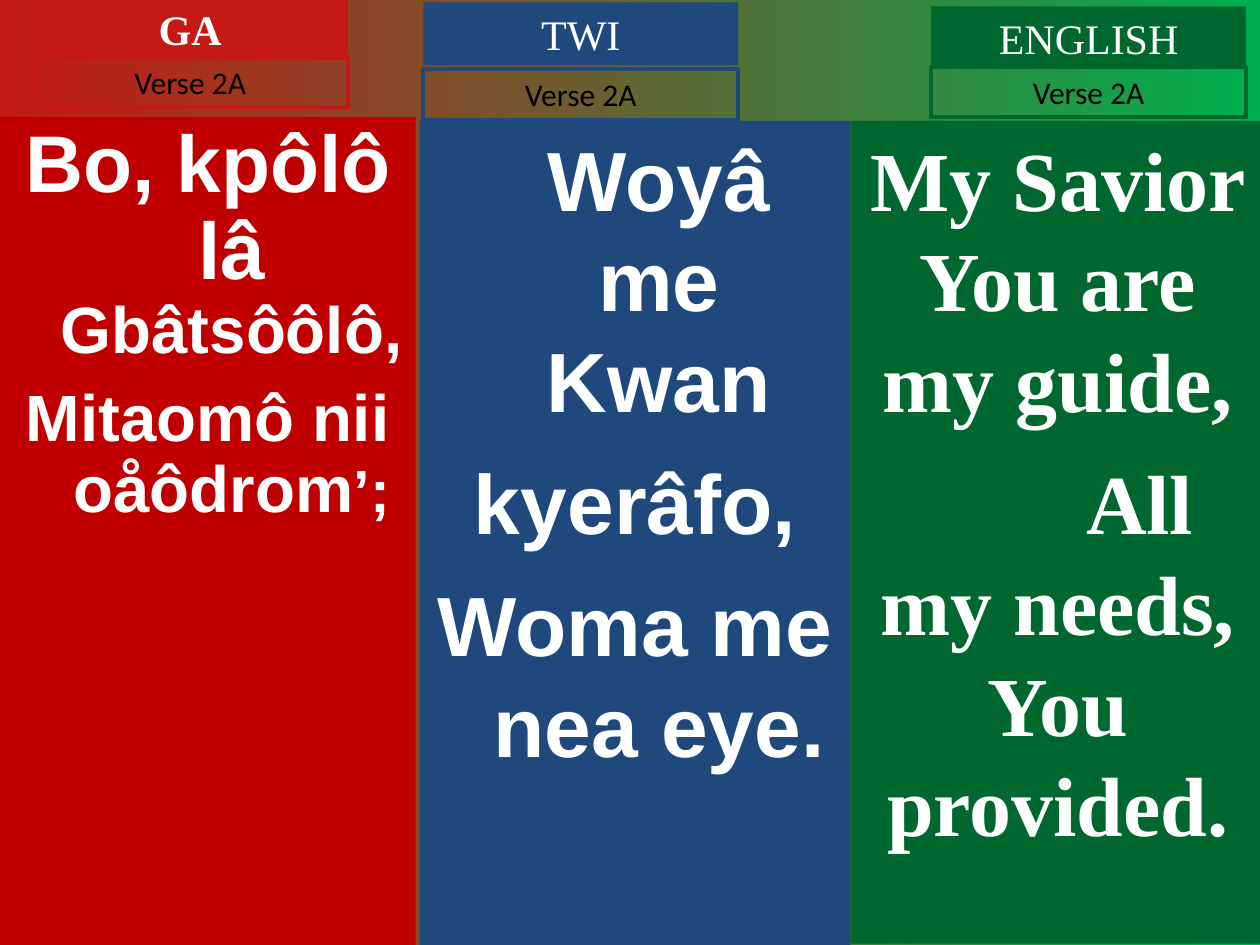
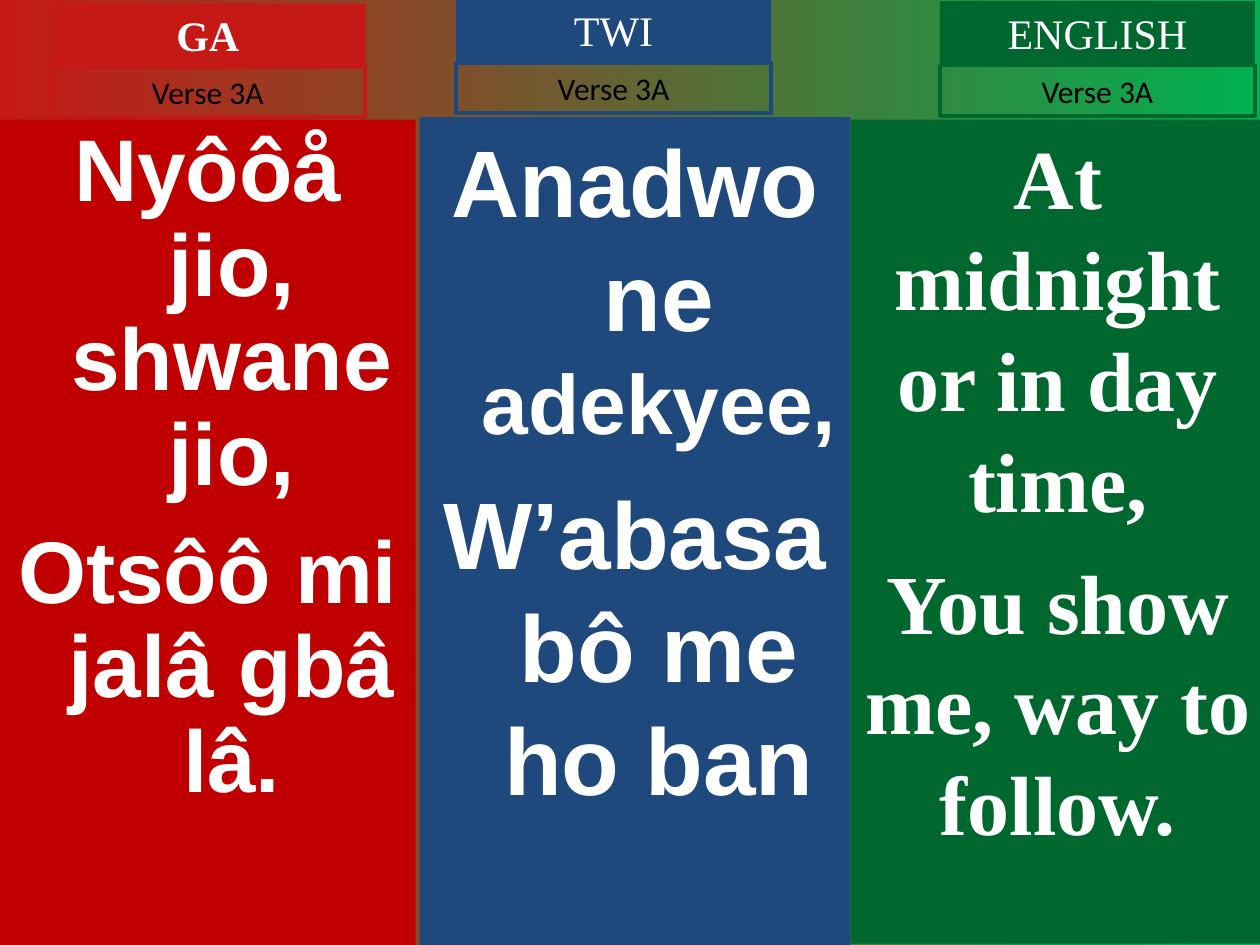
from pptx import Presentation
from pptx.dml.color import RGBColor as RGB
from pptx.enum.shapes import MSO_SHAPE as Shape
from pptx.enum.text import MSO_ANCHOR as Anchor, MSO_AUTO_SIZE as Fit, PP_ALIGN as Align
from pptx.util import Inches, Pt

# Content: each paragraph is (space before, first-line indent, runs of (text, size))
HANG = -0.38
SLIDES = [
    {"verse": "Verse 2A", "columns": {
        "GA": {"head": (0.26, -0.02), "tag": 0.45, "top": 0.93, "verses": [
            (0, HANG, [("Bo, kpôlô lâ ", 45.9), ("Gbâtsôôlô,", 37.4)]),
            (10, HANG, [("Mitaomô nii oåôdrom", 37.4), ("’;", 34)])]},
        "TWI": {"head": (3.36, 0.02), "tag": 0.55, "top": 0.96, "verses": [
            (0, 0, [("Woyâ me Kwan", 48)]),
            (12, HANG, [("kyerâfo,", 48)]),
            (12, HANG, [("Woma me nea eye.", 48)])]},
        "ENGLISH": {"head": (7.39, 0.05), "tag": 0.53, "top": 0.96, "verses": [
            (0, 0, [("My Savior You are my guide,", 48)]),
            (12, 1.3, [("All my needs, You provided.", 48)])]},
    }},
    {"verse": "Verse 3A", "columns": {
        "GA": {"head": (0.4, 0.03), "tag": 0.53, "top": 0.95, "verses": [
            (0, HANG, [("Nyôôå jio, shwane jio,", 50)]),
            (13.5, HANG, [("Otsôô mi jalâ gbâ lâ.", 50)])]},
        "TWI": {"head": (3.62, -0.01), "tag": 0.5, "top": 0.93, "verses": [
            (0, HANG, [("Anadwo ne ", 54), ("adekyee,", 48)]),
            (13.5, HANG, [("W’abasa bô me ho ban", 54)])]},
        "ENGLISH": {"head": (7.46, 0.01), "tag": 0.52, "top": 0.95, "verses": [
            (0, 0, [("At midnight or in day time,", 48)]),
            (12, 0, [("You show me, way to follow.", 48)])]},
    }},
]

# Shared look
COLORS = {"red": "C51915", "deep": "C00000", "blue": "1F497D", "green": "00682F",
          "lime": "00B050", "white": "FFFFFF", "black": "000000"}
SERIF = "Times New Roman"
STYLES = {
    "GA": {"head": "red", "body": "deep", "left": 0, "width": 3.3, "end": 7.5,
           "font": "Arial", "bold": True, "margin": 0.38, "lines": 0.9},
    "TWI": {"head": "blue", "body": "blue", "left": 3.33, "width": 3.42, "end": 7.5,
            "font": "Arial", "bold": False, "margin": 0.38, "lines": None},
    "ENGLISH": {"head": "green", "body": "green", "left": 6.75, "width": 3.29, "end": 7.49,
                "font": SERIF, "bold": False, "margin": 0, "lines": None},
}
HEAD_W, HEAD_H, TAG_H = 2.5, 0.5, 0.4


def color(name):
    return RGB.from_string(COLORS[name])


def add_box(slide, left, top, width, height, fill=None, line=None):
    box = slide.shapes.add_shape(
        Shape.RECTANGLE, *(Inches(n) for n in (left, top, width, height)))
    box.shadow.inherit = False
    if fill:
        box.fill.solid()
        box.fill.fore_color.rgb = color(fill)
    else:
        box.fill.background()
    if line:
        box.line.color.rgb = color(line)
        box.line.width = Pt(2.25)
    else:
        box.line.fill.background()
    frame = box.text_frame
    frame.word_wrap = True
    frame.vertical_anchor = Anchor.TOP
    return frame


def add_run(para, text, size, font, ink, bold):
    run = para.add_run()
    run.text = text
    run.font.size, run.font.name, run.font.bold = Pt(size), font, bold
    run.font.color.rgb = color(ink)


def add_label(frame, text, size, font, ink, bold=False):
    frame.auto_size = Fit.SHAPE_TO_FIT_TEXT
    para = frame.paragraphs[0]
    para.alignment = Align.CENTER
    add_run(para, text, size, font, ink, bold)


def add_body(slide, style, part):
    top = part["top"]
    frame = add_box(slide, style["left"], top, style["width"], style["end"] - top, style["body"])
    for i, (gap, indent, runs) in enumerate(part["verses"]):
        para = frame.add_paragraph() if i else frame.paragraphs[0]
        para.alignment = Align.CENTER
        para.space_before = Pt(gap)
        para.line_spacing = style["lines"]
        props = para._p.get_or_add_pPr()
        props.set("marL", str(Inches(style["margin"])))
        props.set("indent", str(Inches(indent)))
        for text, size in runs:
            add_run(para, text, size, style["font"], "white", True)


def add_head(slide, name, style, part, verse):
    left, top = part["head"]
    head = add_box(slide, left, top, HEAD_W, HEAD_H, fill=style["head"])
    add_label(head, name, 24, SERIF, "white", style["bold"])
    tag = add_box(slide, left, part["tag"], HEAD_W, TAG_H, line=style["head"])
    add_label(tag, verse, 18, "Calibri", "black")


def add_back(slide):
    fill = slide.background.fill
    fill.gradient()
    fill.gradient_angle = 0
    for stop, name, place in zip(fill.gradient_stops, ("red", "lime"), (0, 1)):
        stop.color.rgb = color(name)
        stop.position = place


def main():
    deck = Presentation()
    deck.slide_width, deck.slide_height = Inches(10), Inches(7.5)
    for page in SLIDES:
        slide = deck.slides.add_slide(deck.slide_layouts[6])
        add_back(slide)
        for name, part in page["columns"].items():
            add_body(slide, STYLES[name], part)
        for name, part in page["columns"].items():
            add_head(slide, name, STYLES[name], part, page["verse"])
    deck.save("out.pptx")


if __name__ == "__main__":
    main()
